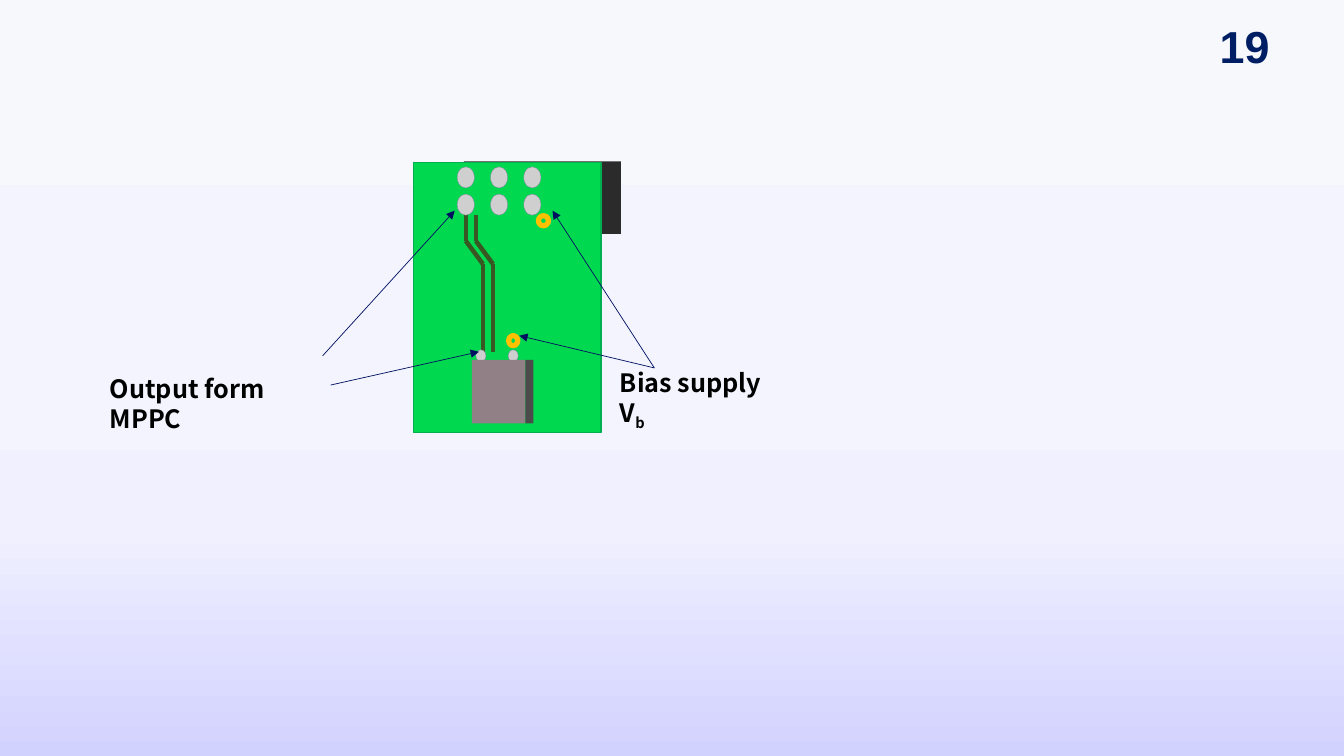
from dataclasses import dataclass
from itertools import pairwise, product

from lxml import etree
from pptx import Presentation
from pptx import util as u
from pptx.dml.color import RGBColor
from pptx.enum import shapes, text
from pptx.oxml import ns


@dataclass(frozen=True)
class Theme:
    background: tuple = ((0, "F6F8FC"), (49, "F3F4FE"), (70, "F0F0FF"), (100, "D2D2FF"))
    number: str = "001E64"
    label: str = "000000"
    arrow: str = "001060"
    board: str = "00D850"
    board_edge: str = "00B050"
    connector: str = "2B2B2B"
    trace: str = "385723"
    pad: str = "CFCFCF"
    pad_edge: str = "7F8A9F"
    via: str = "FFC000"
    sensor: str = "918085"
    sensor_side: str = "4B4B4B"
    number_font: str = "Arial"
    label_font: str = "Noto Sans CJK JP"
    number_size: int = 32
    label_size: int = 18


THEME = Theme()


def apply(target, formats):
    for name, value in formats.items():
        setattr(target, name, value)


def inches(*lengths):
    return [u.Inches(length) for length in lengths]


def add_block(slide, kind, box, fill=None, line=None, line_width=0.25):
    shape = slide.shapes.add_shape(kind, *inches(*box))
    shape.shadow.inherit = False
    if fill:
        shape.fill.solid()
        shape.fill.fore_color.rgb = RGBColor.from_string(fill)
    else:
        shape.fill.background()
    if line:
        shape.line.color.rgb = RGBColor.from_string(line)
        shape.line.width = u.Pt(line_width)
    else:
        shape.line.fill.background()


def add_rectangle(slide, box, **formats):
    add_block(slide, shapes.MSO_SHAPE.RECTANGLE, box, **formats)


def add_oval(slide, center_x, center_y, width, height, **formats):
    box = (center_x - width / 2, center_y - height / 2, width, height)
    add_block(slide, shapes.MSO_SHAPE.OVAL, box, **formats)


def add_line(slide, start, end, color, width, arrow=False):
    connector = slide.shapes.add_connector(
        shapes.MSO_CONNECTOR.STRAIGHT, *inches(*start, *end))
    connector.line.color.rgb = RGBColor.from_string(color)
    connector.line.width = u.Pt(width)
    properties = connector._element.spPr
    if arrow:
        etree.SubElement(properties.find(ns.qn("a:ln")), ns.qn("a:tailEnd"), type="triangle")
    etree.SubElement(properties, ns.qn("a:effectLst"))


def add_text(slide, box, runs, font, frame=None, alignment=text.PP_ALIGN.LEFT):
    shape = slide.shapes.add_textbox(*inches(*box))
    apply(shape.text_frame, {"word_wrap": True, **(frame or {})})
    paragraph = shape.text_frame.paragraphs[0]
    paragraph.alignment = alignment
    color = RGBColor.from_string(font["color"])
    for content, baseline in runs:
        run = paragraph.add_run()
        run.text = content
        apply(run.font, {"name": font["name"], "size": u.Pt(font["size"]), "bold": True})
        run.font.color.rgb = color
        if baseline:
            run._r.get_or_add_rPr().set("baseline", str(baseline * 1000))


def paint_background(slide):
    fill = slide.background.fill
    fill.gradient()
    gradient = slide._element.cSld.find(".//" + ns.qn("a:gradFill"))
    for child in list(gradient):
        gradient.remove(child)
    stops = etree.SubElement(gradient, ns.qn("a:gsLst"))
    for position, color in THEME.background:
        stop = etree.SubElement(stops, ns.qn("a:gs"), pos=str(position * 1000))
        etree.SubElement(stop, ns.qn("a:srgbClr"), val=color)
    etree.SubElement(gradient, ns.qn("a:lin"), ang="5400000", scaled="0")


def add_page_number(slide, box):
    font = {"name": THEME.number_font, "size": THEME.number_size, "color": THEME.number}
    add_text(slide, box, [("19", 0)], font,
             {"vertical_anchor": text.MSO_ANCHOR.MIDDLE}, text.PP_ALIGN.CENTER)


def add_board(slide, box):
    left, top, width, height = box
    pad = {"fill": THEME.pad, "line": THEME.pad_edge}
    via = {"line": THEME.via, "line_width": 3.75}

    add_rectangle(slide, (left + 0.5, top - 0.01, width - 0.3, 0.72), fill=THEME.connector)
    add_rectangle(slide, box, fill=THEME.board, line=THEME.board_edge, line_width=1)
    add_oval(slide, left + 1.29, top + 0.58, 0.1, 0.1, **via)

    for offset in (0.52, 0.62):
        x = left + offset
        bend = [(x, top + 0.52), (x, top + 0.78), (x + 0.17, top + 1.01), (x + 0.17, top + 1.88)]
        for start, end in pairwise(bend):
            add_line(slide, start, end, THEME.trace, 3.2)

    for row, column in product(range(2), range(3)):
        add_oval(slide, left + 0.52 + 0.33 * column, top + 0.15 + 0.27 * row, 0.17, 0.21, **pad)

    for offset in (0.67, 0.99):
        add_oval(slide, left + offset, top + 1.92, 0.1, 0.12, **pad)
    add_oval(slide, left + 0.99, top + 1.77, 0.09, 0.1, **via)

    add_rectangle(slide, (left + 0.58, top + 1.96, 0.53, 0.63), fill=THEME.sensor)
    add_rectangle(slide, (left + 1.11, top + 1.96, 0.08, 0.63), fill=THEME.sensor_side)


def add_callout(slide, box, runs, arrows):
    left, top = box[:2]
    font = {"name": THEME.label_font, "size": THEME.label_size, "color": THEME.label}
    add_text(slide, box, runs, font, {"auto_size": text.MSO_AUTO_SIZE.SHAPE_TO_FIT_TEXT})
    for (x, y), target in arrows:
        add_line(slide, (left + x, top + y), target, THEME.arrow, 0.5, arrow=True)


def main():
    presentation = Presentation()
    apply(presentation, {"slide_width": u.Inches(13.33), "slide_height": u.Inches(7.5)})
    slide = presentation.slides.add_slide(presentation.slide_layouts[6])
    paint_background(slide)
    add_page_number(slide, (11.36, 0, 1.97, 0.91))
    add_board(slide, (4.1, 1.61, 1.86, 2.68))
    add_callout(slide, (0.99, 3.65, 2.41, 0.4), [("Output form MPPC", 0)],
                [((2.29, 0.17), (4.75, 3.49)), ((2.21, -0.12), (4.51, 2.09))])
    add_callout(slide, (6.05, 3.59, 1.86, 0.4), [("Bias supply V", 0), ("b", -25)],
                [((0.44, 0.06), (5.15, 3.33)), ((0.44, 0.06), (5.48, 2.09))])
    presentation.save("out.pptx")


if __name__ == "__main__":
    main()
